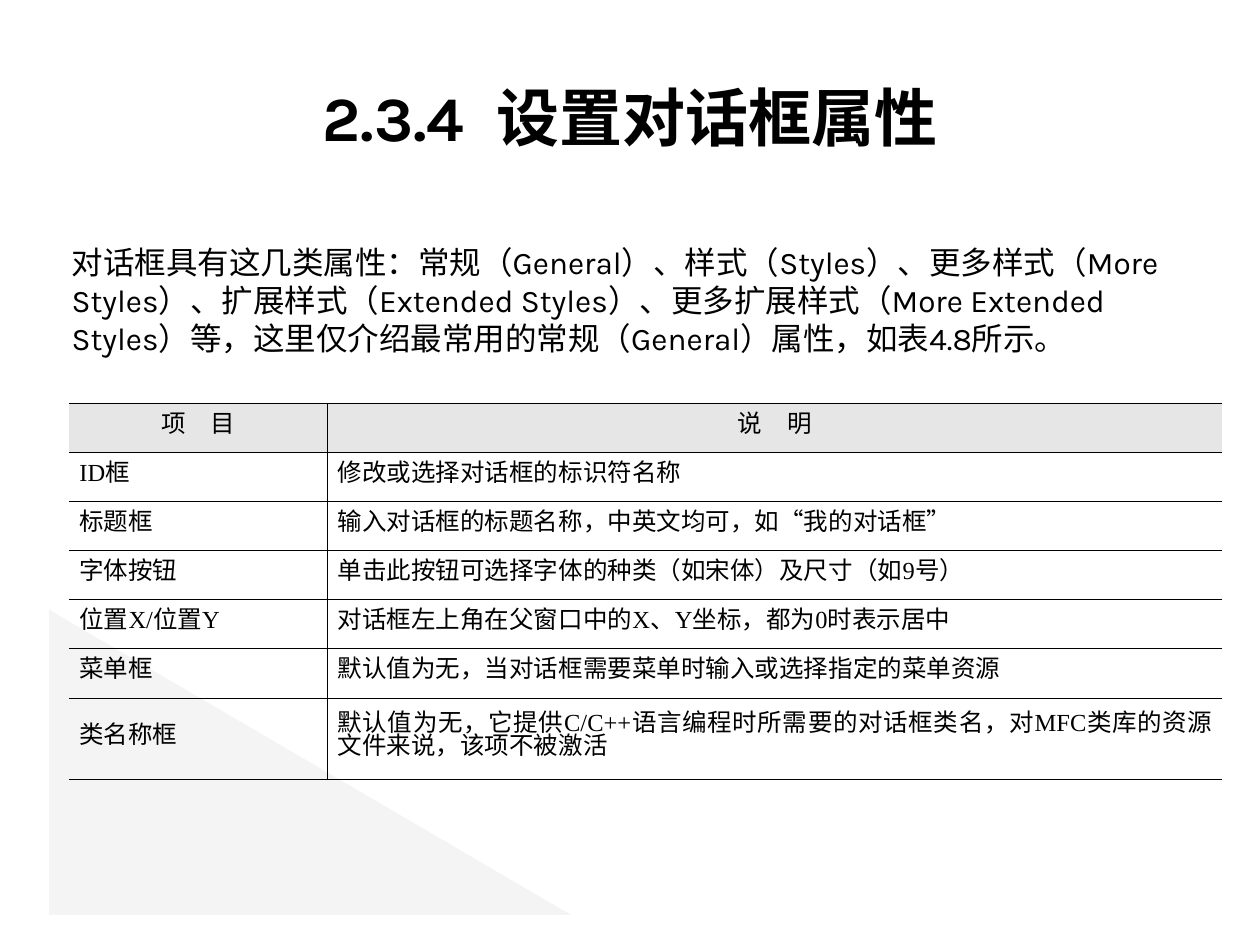
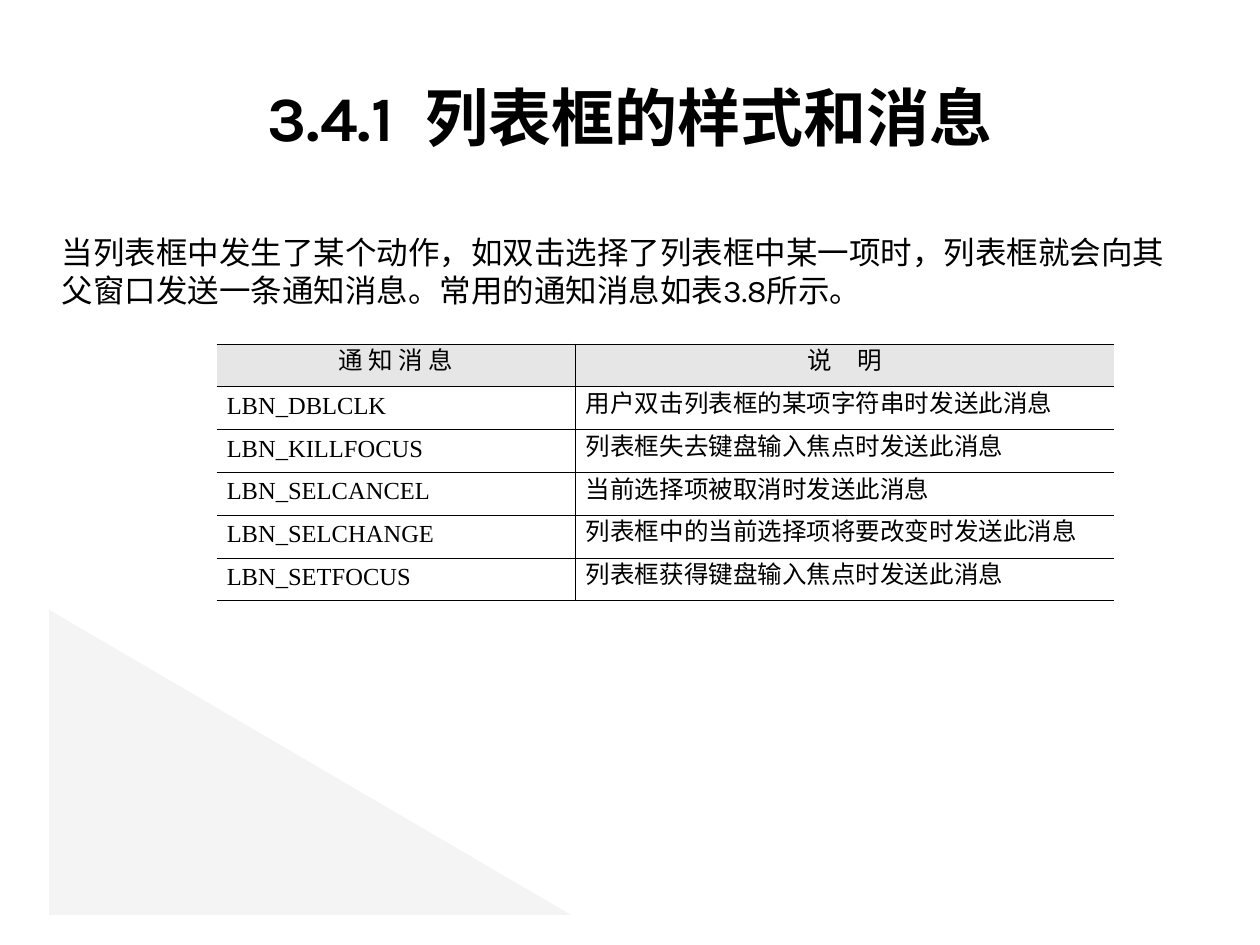
from lxml import etree
from pptx import Presentation
from pptx.dml.color import RGBColor
from pptx.enum.shapes import MSO_SHAPE
from pptx.enum.text import MSO_ANCHOR, PP_ALIGN
from pptx.oxml.ns import qn
from pptx.util import Inches, Pt

COLOURS = {"text": "000000", "corner": "F2F2F2", "header": "E6E6E6", "rule": "000000"}
HEADING_FONT = "Karla"
TABLE_FONT = "Times New Roman"
TITLE_BOX = (0.5, 0.3, 9, 1.25)
CORNER_BOX = (0.39, 4.84, 4.14, 2.42)
RULE_WIDTH = Pt(0.45)

DIALOG_ROWS = [
    ("项　目", "说　明"),
    ("ID框", "修改或选择对话框的标识符名称"),
    ("标题框", "输入对话框的标题名称，中英文均可，如“我的对话框”"),
    ("字体按钮", "单击此按钮可选择字体的种类（如宋体）及尺寸（如9号）"),
    ("位置X/位置Y", "对话框左上角在父窗口中的X、Y坐标，都为0时表示居中"),
    ("菜单框", "默认值为无，当对话框需要菜单时输入或选择指定的菜单资源"),
    ("类名称框", "默认值为无，它提供C/C++语言编程时所需要的对话框类名，"
                 "对MFC类库的资源文件来说，该项不被激活"),
]
MESSAGE_ROWS = [
    ("通 知 消 息", "说　明"),
    ("LBN_DBLCLK", "用户双击列表框的某项字符串时发送此消息"),
    ("LBN_KILLFOCUS", "列表框失去键盘输入焦点时发送此消息"),
    ("LBN_SELCANCEL", "当前选择项被取消时发送此消息"),
    ("LBN_SELCHANGE", "列表框中的当前选择项将要改变时发送此消息"),
    ("LBN_SETFOCUS", "列表框获得键盘输入焦点时发送此消息"),
]
SLIDES = [
    {
        "title": "2.3.4  设置对话框属性",
        "intro": "对话框具有这几类属性：常规（General）、样式（Styles）、更多样式（More Styles）、"
                 "扩展样式（Extended Styles）、更多扩展样式（More Extended Styles）等，"
                 "这里仅介绍最常用的常规（General）属性，如表4.8所示。",
        "intro_box": (0.47, 1.88, 9.06, 1.6),
        "rows": DIALOG_ROWS,
        "table_at": (0.55, 3.2),
        "columns": (2.05, 7.1),
        "heights": [0.39] * 6 + [0.65],
    },
    {
        "title": "3.4.1  列表框的样式和消息",
        "intro": "当列表框中发生了某个动作，如双击选择了列表框中某一项时，"
                 "列表框就会向其父窗口发送一条通知消息。常用的通知消息如表3.8所示。",
        "intro_box": (0.39, 1.8, 9.14, 1),
        "rows": MESSAGE_ROWS,
        "table_at": (1.72, 2.73),
        "columns": (2.85, 4.27),
        "heights": [0.34] * 6,
    },
]


def colour(key):
    return RGBColor.from_string(COLOURS[key])


def inches(box):
    return [Inches(length) for length in box]


def write(frame, text, font, size, align, bold=False):
    frame.text = text
    paragraph = frame.paragraphs[0]
    paragraph.alignment = align
    for run in paragraph.runs:
        run.font.name = font
        run.font.size = Pt(size)
        run.font.bold = bold
        run.font.color.rgb = colour("text")
    return paragraph


def add_corner(slide, box):
    corner = slide.shapes.add_shape(MSO_SHAPE.RIGHT_TRIANGLE, *inches(box))
    corner.shadow.inherit = False
    corner.fill.solid()
    corner.fill.fore_color.rgb = colour("corner")
    corner.line.fill.background()
    for tint in corner.fill._xPr.iter(qn("a:srgbClr")):
        etree.SubElement(tint, qn("a:alpha"), val="83000")


def add_title(slide, text, box):
    title = slide.shapes.title
    title.left, title.top, title.width, title.height = inches(box)
    title.text_frame.vertical_anchor = MSO_ANCHOR.MIDDLE
    write(title.text_frame, text, HEADING_FONT, 36, PP_ALIGN.CENTER, bold=True)


def add_intro(slide, text, box):
    intro = slide.shapes.add_textbox(*inches(box))
    intro.text_frame.word_wrap = True
    write(intro.text_frame, text, HEADING_FONT, 18, PP_ALIGN.LEFT)


def rule_cell(cell, ruled_sides):
    properties = cell._tc.get_or_add_tcPr()
    for side in "LRTB":
        rule = etree.SubElement(properties, qn(f"a:ln{side}"), w=str(RULE_WIDTH))
        if side in ruled_sides:
            fill = etree.SubElement(rule, qn("a:solidFill"))
            etree.SubElement(fill, qn("a:srgbClr"), val=COLOURS["rule"])
        else:
            etree.SubElement(rule, qn("a:noFill"))


def format_cell(cell, text, is_header, is_first_column):
    align = PP_ALIGN.CENTER if is_header else PP_ALIGN.JUSTIFY
    paragraph = write(cell.text_frame, text, TABLE_FONT, 14, align)
    paragraph.line_spacing = Pt(13)
    cell.vertical_anchor = MSO_ANCHOR.MIDDLE
    cell.margin_left = cell.margin_right = Inches(0.08)
    rule_cell(cell, "RTB" if is_first_column else "LTB")
    if is_header:
        cell.fill.solid()
        cell.fill.fore_color.rgb = colour("header")
    else:
        cell.fill.background()


def add_reference_table(slide, rows, at, columns, heights):
    box = (*at, sum(columns), sum(heights))
    table = slide.shapes.add_table(len(rows), len(columns), *inches(box)).table
    table.first_row = False
    table.horz_banding = False
    for column, width in zip(table.columns, columns):
        column.width = Inches(width)
    for row, height in zip(table.rows, heights):
        row.height = Inches(height)
    for r, entry in enumerate(rows):
        for c, text in enumerate(entry):
            format_cell(table.cell(r, c), text, r == 0, c == 0)


def add_reference_slide(deck, content):
    slide = deck.slides.add_slide(deck.slide_layouts[5])
    add_corner(slide, CORNER_BOX)
    add_title(slide, content["title"], TITLE_BOX)
    add_intro(slide, content["intro"], content["intro_box"])
    add_reference_table(slide, content["rows"], content["table_at"],
                        content["columns"], content["heights"])


def main():
    deck = Presentation()
    deck.slide_width, deck.slide_height = Inches(10), Inches(7.5)
    for content in SLIDES:
        add_reference_slide(deck, content)
    deck.save("out.pptx")


if __name__ == "__main__":
    main()
